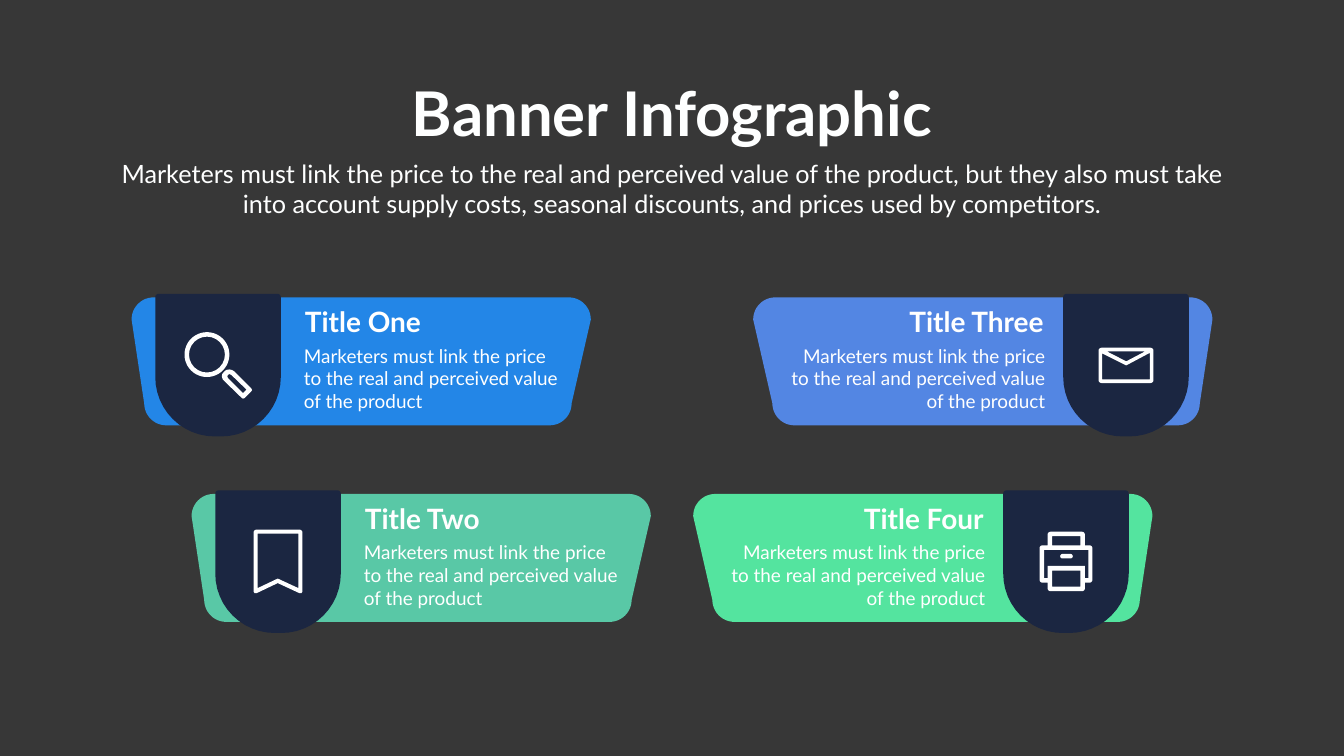
from math import cos, pi, sin

from pptx import Presentation
from pptx.dml.color import RGBColor
from pptx.enum.shapes import MSO_SHAPE
from pptx.enum.text import PP_ALIGN
from pptx.util import Inches, Pt

LEFT, CENTER, RIGHT = PP_ALIGN.LEFT, PP_ALIGN.CENTER, PP_ALIGN.RIGHT
DONUT, PILL = MSO_SHAPE.DONUT, MSO_SHAPE.ROUNDED_RECTANGLE

W, H = 26.66, 15
BANNER_W, BANNER_H = 9.11, 2.54
BADGE_W, BADGE_H = 2.49, 2.83
BADGE_INSET, BADGE_RISE = 0.47, 0.07
DARK, NAVY, WHITE, SOFT_WHITE = "373737", "1B2641", "FFFFFF", "FEFFFF"
BODY = "Marketers must link the price to the real and perceived value of the product"
INTRO = (
    "Marketers must link the price to the real and perceived value of the product, "
    "but they also must take into account supply costs, seasonal discounts, "
    "and prices used by competitors."
)


def paint(fill, color):
    fill.solid()
    fill.fore_color.rgb = RGBColor.from_string(color)


def finish(sp, color):
    paint(sp.fill, color)
    sp.line.fill.background()
    sp.shadow.inherit = False


def rounded(corners, w, h, steps=12):
    points = []
    for x, y, r in corners:
        if not r:
            points.append((x, y))
            continue
        left, top = x < w / 2, y < h / 2
        cx = x + r if left else x - r
        cy = y + r if top else y - r
        start = (pi if left else 1.5 * pi) if top else (pi / 2 if left else 0)
        for i in range(steps + 1):
            a = start + i * pi / 2 / steps
            points.append((cx + r * cos(a), cy + r * sin(a)))
    return points


def round_box(w, h, r):
    return rounded([(0, 0, r), (w, 0, r), (w, h, r), (0, h, r)], w, h)


def rect(x1, y1, x2, y2):
    return [(x1, y1), (x2, y1), (x2, y2), (x1, y2)]


def outline(sl, x, y, contours, color):
    scaled = [[(px * 1000, py * 1000) for px, py in c] for c in contours]
    builder = sl.shapes.build_freeform(*scaled[0][0], scale=914.4)
    builder.add_line_segments(scaled[0][1:])
    for contour in scaled[1:]:
        builder.move_to(*contour[0])
        builder.add_line_segments(contour[1:])
    finish(builder.convert_to_shape(Inches(x), Inches(y)), color)


def preset(sl, kind, x, y, w, h, adjustment):
    sp = sl.shapes.add_shape(kind, Inches(x), Inches(y), Inches(w), Inches(h))
    sp.adjustments[0] = adjustment
    finish(sp, WHITE)


def text(sl, x, y, w, h, words, size, color=WHITE, bold=False, align=LEFT, wrap=True):
    tf = sl.shapes.add_textbox(Inches(x), Inches(y), Inches(w), Inches(h)).text_frame
    tf.word_wrap = wrap
    p = tf.paragraphs[0]
    p.text = words
    p.alignment = align
    p.font.name = "Lato"
    p.font.size = Pt(size)
    p.font.bold = bold
    p.font.color.rgb = RGBColor.from_string(color)


def magnifier(sl, x, y):
    handle = [(0.15, 0), (0.09, 0.01), (0.05, 0.04), (0.01, 0.09), (0, 0.14),
              (0.02, 0.2), (0.06, 0.24), (0.39, 0.56), (0.42, 0.58), (0.45, 0.57),
              (0.58, 0.44), (0.6, 0.41), (0.58, 0.37), (0.25, 0.04), (0.2, 0.01)]
    hole = [(0.15, 0.09), (0.12, 0.11), (0.11, 0.14), (0.12, 0.17),
            (0.42, 0.47), (0.49, 0.4), (0.19, 0.11)]
    outline(sl, x + 1.32, y + 1.5, [handle, hole], WHITE)
    preset(sl, DONUT, x + 0.58, y + 0.76, 0.89, 0.89, 0.1)


def bookmark(sl, x, y):
    edge = rounded([(0, 0, 0.06), (0.97, 0, 0.06), (0.97, 1.23, 0), (0.95, 1.26, 0),
                    (0.91, 1.26, 0), (0.48, 1.06, 0), (0.06, 1.26, 0),
                    (0.02, 1.26, 0), (0, 1.23, 0)], 0.97, 1.28)
    hole = [(0.08, 0.08), (0.89, 0.08), (0.89, 1.16), (0.48, 0.97), (0.08, 1.16)]
    outline(sl, x + 0.76, y + 0.78, [edge, hole], WHITE)


def envelope(sl, x, y):
    front = [(0.07, 0.63), (0.07, 0.11), (0.53, 0.34), (0.55, 0.35),
             (0.57, 0.34), (1.02, 0.1), (1.02, 0.63)]
    flap = [(0.55, 0.27), (0.16, 0.07), (0.93, 0.07)]
    outline(sl, x + 0.7, y + 1.07, [round_box(1.09, 0.7, 0.06), front, flap], WHITE)


def printer(sl, x, y):
    r = 0.06
    edge = rounded([(0.16, 0, r), (0.9, 0, r), (0.9, 0.27, 0), (1.05, 0.27, r),
                    (1.05, 1.01, r), (0.9, 1.01, 0), (0.9, 1.18, r), (0.16, 1.18, r),
                    (0.16, 1.01, 0), (0, 1.01, r), (0, 0.27, r), (0.16, 0.27, 0)],
                   1.05, 1.18)
    body = [(0.09, 0.36), (0.97, 0.36), (0.97, 0.92), (0.9, 0.92),
            (0.9, 0.68), (0.16, 0.68), (0.16, 0.92), (0.09, 0.92)]
    tray, paper = rect(0.25, 0.09, 0.81, 0.27), rect(0.25, 0.77, 0.81, 1.09)
    outline(sl, x + 0.72, y + 0.82, [edge, body, tray, paper], WHITE)
    preset(sl, PILL, x + 1.13, y + 1.26, 0.25, 0.09, 0.5)


def header(sl, x, y, w):
    text(sl, x, y, w, 1.58, "Banner Infographic", 88, SOFT_WHITE, True, CENTER, False)
    text(sl, x, y + 1.66, w, 1.31, INTRO, 36, SOFT_WHITE, align=CENTER)


def banner(sl, x, y, title, color, icon, mirrored):
    r = 0.44
    plate = rounded([(0, 0, r), (BANNER_W, 0, r), (BANNER_W - 0.38, BANNER_H, r),
                     (0.25, BANNER_H, r)], BANNER_W, BANNER_H)
    if mirrored:
        plate = [(BANNER_W - px, py) for px, py in plate]
    outline(sl, x, y, [plate], color)

    badge = rounded([(0, 0, 0.07), (BADGE_W, 0, 0.07), (BADGE_W, BADGE_H, 1.18),
                     (0, BADGE_H, 1.18)], BADGE_W, BADGE_H)
    badge_x = x + (BANNER_W - BADGE_INSET - BADGE_W if mirrored else BADGE_INSET)
    badge_y = y - BADGE_RISE
    outline(sl, badge_x, badge_y, [badge], NAVY)
    icon(sl, badge_x, badge_y)

    title_w, body_w = 3.11, 5.27
    if mirrored:
        align = RIGHT
        title_x, body_x = x + BANNER_W - 3.25 - title_w, x + BANNER_W - 3.22 - body_w
    else:
        align = LEFT
        title_x, body_x = x + 3.34, x + 3.32
    text(sl, title_x, y + 0.1, title_w, 0.77, title, 40, bold=True, align=align)
    text(sl, body_x, y + 0.88, body_w, 1.46, BODY, 27, align=align)


def main():
    prs = Presentation()
    prs.slide_width, prs.slide_height = Inches(W), Inches(H)
    sl = prs.slides.add_slide(prs.slide_layouts[6])
    paint(sl.background.fill, DARK)
    header(sl, 2.22, 1.43, W - 2 * 2.22)
    rows = [
        (2.61, 5.9, ("Title One", "2386E7", magnifier), ("Title Three", "5386E3", envelope)),
        (3.8, 9.8, ("Title Two", "59C8A6", bookmark), ("Title Four", "54E49F", printer)),
    ]
    for x, y, left, right in rows:
        banner(sl, x, y, *left, mirrored=False)
        banner(sl, W - x - BANNER_W, y, *right, mirrored=True)
    prs.save("out.pptx")


if __name__ == "__main__":
    main()
